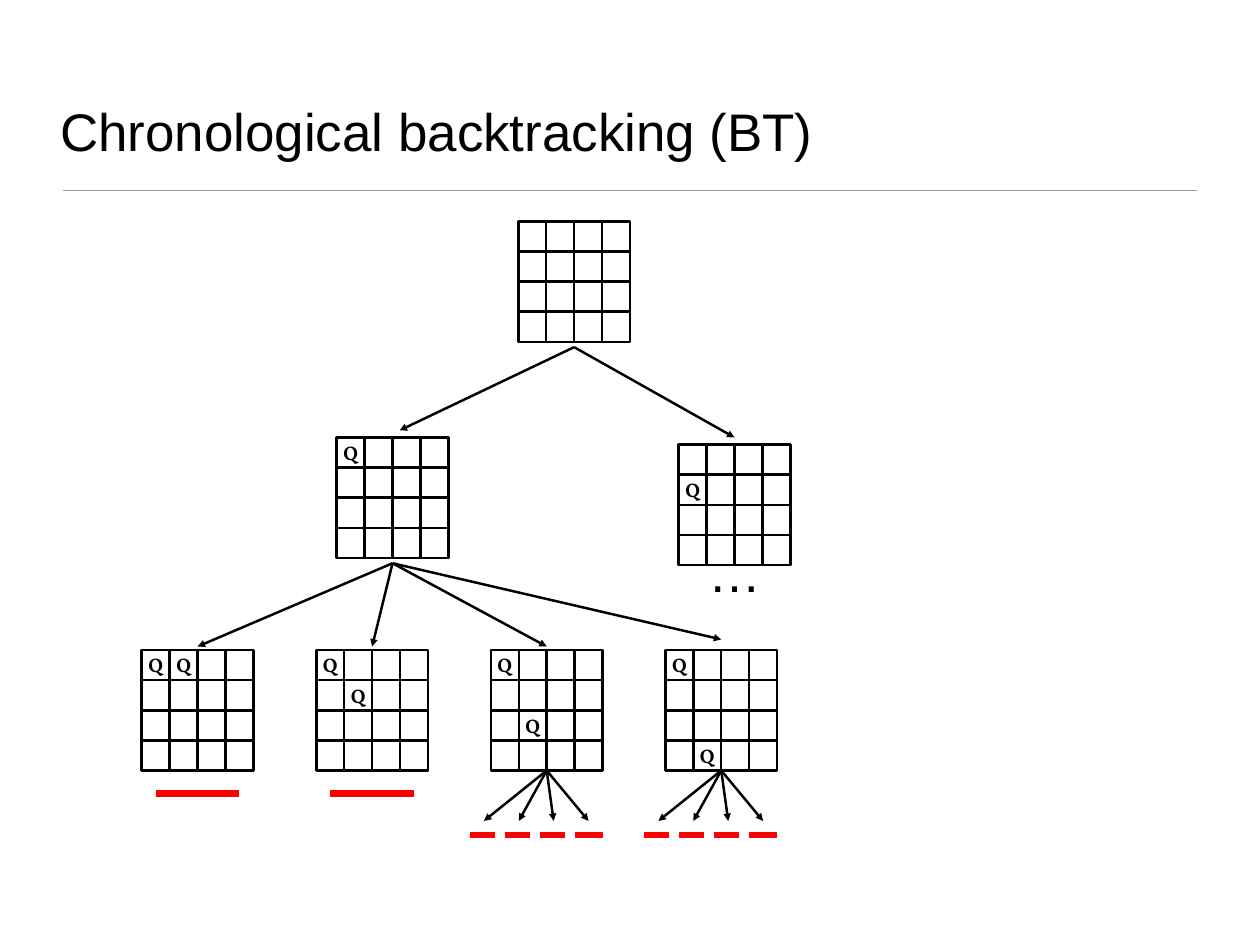
from lxml import etree
from pptx import Presentation
from pptx.dml.color import RGBColor
from pptx.enum.shapes import MSO_CONNECTOR, MSO_SHAPE
from pptx.enum.text import MSO_ANCHOR, MSO_AUTO_SIZE, PP_ALIGN
from pptx.oxml.ns import qn
from pptx.util import Inches, Pt

STRAIGHT = MSO_CONNECTOR.STRAIGHT
RECTANGLE = MSO_SHAPE.RECTANGLE
MIDDLE, BOTTOM = MSO_ANCHOR.MIDDLE, MSO_ANCHOR.BOTTOM
LEFT, CENTER = PP_ALIGN.LEFT, PP_ALIGN.CENTER
NO_AUTOSIZE = MSO_AUTO_SIZE.NONE
BOTTOM_SITE = 2

COLORS = {"ink": "000000", "rule": "9A9A9A", "dead_end": "FF0000"}
SLIDE_WIDTH, SLIDE_HEIGHT = 14.22, 10.67

CELLS = 4
CELL_WIDTH, CELL_HEIGHT = 0.315, 0.34
BOARD_WIDTH, BOARD_HEIGHT = CELLS * CELL_WIDTH, CELLS * CELL_HEIGHT
ROOT = (5.85, 2.5)
FIRST_CHILD = (3.8, 4.94)
SECOND_CHILD = (7.66, 5.02)
LEAF_LEFT, LEAF_TOP, LEAF_PITCH = 1.6, 7.34, 1.97
BRANCH_GAP = 0.06
BRANCH_STEP = 1.25 * CELL_WIDTH


def color(name):
    return RGBColor.from_string(COLORS[name])


def add_line(shapes, start, end, color_name="ink", width=2, arrow=False):
    ends = [Inches(length) for length in (*start, *end)]
    line = shapes.add_connector(STRAIGHT, *ends)
    line.line.color.rgb = color(color_name)
    line.line.width = Pt(width)
    if arrow:
        etree.SubElement(line.line._ln, qn("a:tailEnd"), type="triangle")
    etree.SubElement(line._element.spPr, qn("a:effectLst"))
    return line


def format_run(run, size, font_name, bold=False):
    run.font.size = Pt(size)
    run.font.name = font_name
    run.font.bold = bold
    run.font.color.rgb = color("ink")


def add_label(shapes, text, box, size, font_name, bold=False):
    label = shapes.add_textbox(*[Inches(length) for length in box])
    frame = label.text_frame
    frame.word_wrap = True
    frame.vertical_anchor = MIDDLE
    frame.margin_left = frame.margin_right = 0
    frame.margin_top = frame.margin_bottom = 0
    paragraph = frame.paragraphs[0]
    paragraph.alignment = CENTER
    run = paragraph.add_run()
    run.text = text
    format_run(run, size, font_name, bold)


def add_title(slide, text, box):
    """Fill the title placeholder and draw the rule below it."""
    left, top, width, height = box
    title = slide.shapes.title
    title.left, title.top = Inches(left), Inches(top)
    title.width, title.height = Inches(width), Inches(height)
    frame = title.text_frame
    frame.auto_size = NO_AUTOSIZE
    frame.vertical_anchor = BOTTOM
    frame.margin_left = frame.margin_right = Inches(0.06)
    frame.margin_top = frame.margin_bottom = Inches(0.06)
    paragraph = frame.paragraphs[0]
    paragraph.alignment = LEFT
    run = paragraph.add_run()
    run.text = text
    format_run(run, 43, "Arial")
    rule_top = top + height + 0.26
    add_line(slide.shapes, (left + 0.09, rule_top),
             (left + width - 0.08, rule_top), "rule", 0.75)


def add_board(slide, corner, queens=()):
    """Draw a board with queens at (row, column); return its outline."""
    left, top = corner
    shapes = slide.shapes.add_group_shape().shapes
    outline = shapes.add_shape(RECTANGLE, Inches(left), Inches(top),
                               Inches(BOARD_WIDTH), Inches(BOARD_HEIGHT))
    outline.shadow.inherit = False
    outline.fill.background()
    outline.line.color.rgb = color("ink")
    outline.line.width = Pt(2)
    for index in range(1, CELLS):
        x, y = left + index * CELL_WIDTH, top + index * CELL_HEIGHT
        add_line(shapes, (x, top), (x, top + BOARD_HEIGHT))
        add_line(shapes, (left, y), (left + BOARD_WIDTH, y))
    for row, column in queens:
        cell = (left + column * CELL_WIDTH, top + row * CELL_HEIGHT,
                CELL_WIDTH, CELL_HEIGHT)
        add_label(shapes, "Q", cell, 16, "Vollkorn", bold=True)
    return outline


def add_branches(slide, corner, tips):
    left, top = corner
    start = (left + BOARD_WIDTH / 2, top + BOARD_HEIGHT + BRANCH_GAP)
    for tip in tips:
        add_line(slide.shapes, start, tip, arrow=True)


def add_dead_end(slide, corner):
    """Mark a board that cannot be extended with one bar."""
    left, top = corner
    y = top + BOARD_HEIGHT + 0.26
    add_line(slide.shapes, (left + CELL_WIDTH / 2, y),
             (left + BOARD_WIDTH - CELL_WIDTH / 2, y), "dead_end", 5)


def add_failed_children(slide, corner, outline):
    """Draw four short arrows, each leading to its own dead-end bar."""
    left, top = corner
    middle, bottom = left + BOARD_WIDTH / 2, top + BOARD_HEIGHT
    first_tip = middle - 2.25 * CELL_WIDTH
    first_bar = left - 0.75 * CELL_WIDTH
    for index in range(CELLS):
        tip = (first_tip + index * BRANCH_STEP, bottom + 0.57)
        arrow = add_line(slide.shapes, (middle, bottom), tip, arrow=True)
        arrow.begin_connect(outline, BOTTOM_SITE)
        bar_left, y = first_bar + index * BRANCH_STEP, bottom + 0.73
        bar_width = CELL_WIDTH if index == CELLS - 1 else 0.28
        add_line(slide.shapes, (bar_left, y), (bar_left + bar_width, y),
                 "dead_end", 5)


def add_search_tree(slide):
    add_board(slide, ROOT)
    add_board(slide, FIRST_CHILD, [(0, 0)])
    add_board(slide, SECOND_CHILD, [(1, 0)])
    add_branches(slide, ROOT, [(4.51, 4.86), (8.29, 4.94)])
    left, top = SECOND_CHILD
    ellipsis_box = (left, top + BOARD_HEIGHT - 0.3, BOARD_WIDTH, 0.75)
    add_label(slide.shapes, "…", ellipsis_box, 43, "Arial")

    tips = []
    second_queens = [(0, 1), (1, 1), (2, 1), (3, 1)]
    for index, second_queen in enumerate(second_queens):
        corner = (LEAF_LEFT + index * LEAF_PITCH, LEAF_TOP)
        outline = add_board(slide, corner, [(0, 0), second_queen])
        if index < 2:
            add_dead_end(slide, corner)
        else:
            add_failed_children(slide, corner, outline)
        tip_gap = 0.12 if index == CELLS - 1 else 0.04
        tips.append((corner[0] + BOARD_WIDTH / 2, LEAF_TOP - tip_gap))
    add_branches(slide, FIRST_CHILD, tips)


def main():
    presentation = Presentation()
    presentation.slide_width = Inches(SLIDE_WIDTH)
    presentation.slide_height = Inches(SLIDE_HEIGHT)
    title_only = presentation.slide_layouts[5]
    slide = presentation.slides.add_slide(title_only)
    add_title(slide, "Chronological backtracking (BT)",
              (0.62, 0.36, 12.97, 1.53))
    add_search_tree(slide)
    presentation.save("out.pptx")


if __name__ == "__main__":
    main()
